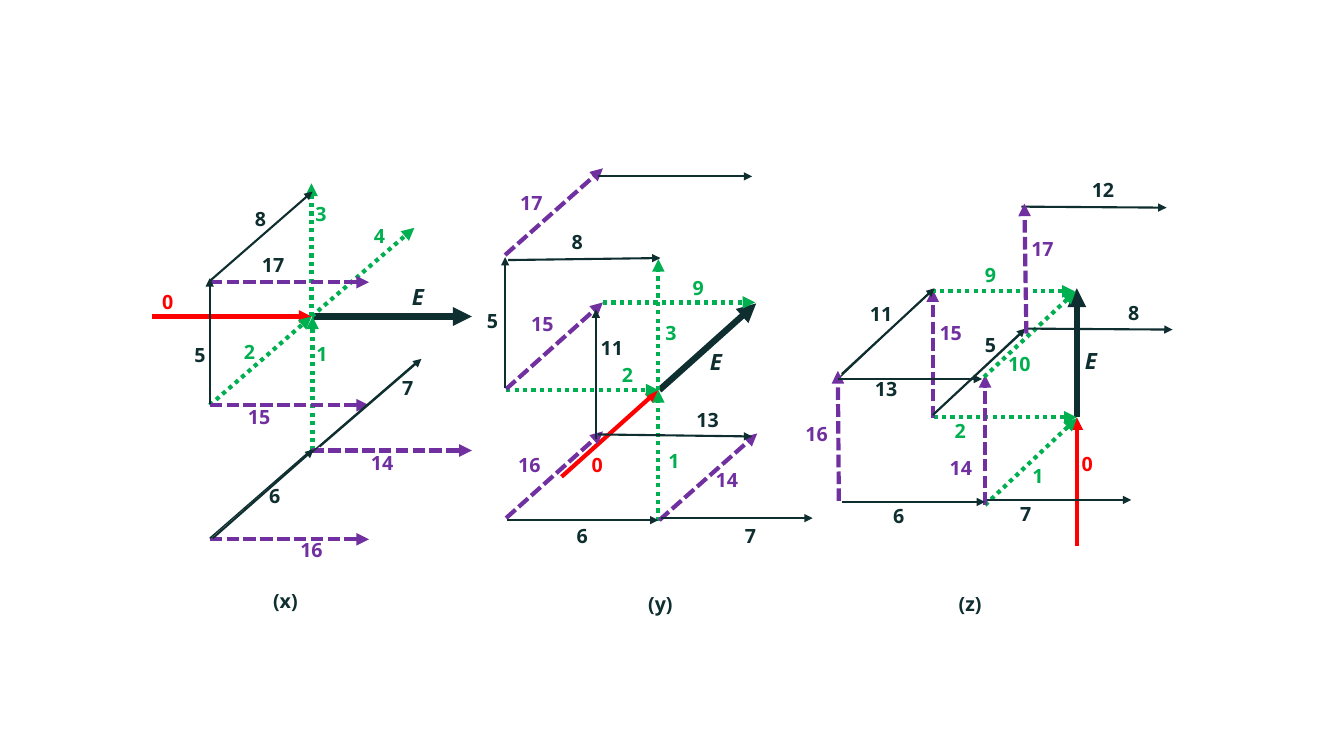
from dataclasses import dataclass

from lxml import etree
from pptx import Presentation
from pptx.dml.color import RGBColor
from pptx.enum.dml import MSO_LINE
from pptx.enum.shapes import MSO_CONNECTOR
from pptx.enum.text import MSO_AUTO_SIZE, PP_ALIGN
from pptx.oxml.ns import qn
from pptx.util import Emu, Pt

STRAIGHT = MSO_CONNECTOR.STRAIGHT
DOTTED = MSO_LINE.ROUND_DOT  # sysDot
DASHED = MSO_LINE.SQUARE_DOT  # sysDash
FIT_SHAPE = MSO_AUTO_SIZE.SHAPE_TO_FIT_TEXT
LEFT, CENTER = PP_ALIGN.LEFT, PP_ALIGN.CENTER

PX = 9144  # 100 px to the inch


@dataclass(frozen=True)
class Theme:
    ink: str = "0F2E30"
    red: str = "FF0000"
    green: str = "00B050"
    purple: str = "7030A0"
    font: str = "Open Sans"
    label_size: int = 14
    field_size: int = 16
    label_height: int = 33


THEME = Theme()
INK, RED, GREEN, PURPLE = THEME.ink, THEME.red, THEME.green, THEME.purple


@dataclass(frozen=True)
class Stroke:
    color: str
    width: float
    dash: MSO_LINE | None = None
    arrow: bool = True


FIELD = Stroke(INK, 4.5)
INCOMING = Stroke(RED, 3)
DOTS = Stroke(GREEN, 3, DOTTED)
DASHES = Stroke(PURPLE, 3, DASHED)
EDGE = Stroke(INK, 1.5)
HAIRLINE = Stroke(INK, 1, arrow=False)


@dataclass(frozen=True)
class Line:
    stroke: Stroke
    x1: int
    y1: int
    x2: int
    y2: int


@dataclass(frozen=True)
class Label:
    text: str
    x: int
    y: int
    width: int
    color: str = INK


@dataclass(frozen=True)
class Diagram:
    lines: list[Line]
    labels: list[Label]


# Field along z
DIAGRAM_Z = Diagram(
    [
        Line(FIELD, 1068, 414, 1068, 286), Line(INCOMING, 1068, 542, 1068, 414),
        Line(DOTS, 926, 414, 1068, 414), Line(DOTS, 977, 501, 1068, 415),
        Line(DASHES, 925, 415, 925, 287), Line(DASHES, 977, 501, 977, 372),
        Line(DOTS, 924, 289, 1066, 289), Line(DOTS, 976, 374, 1067, 289),
        Line(HAIRLINE, 831, 376, 922, 290), Line(HAIRLINE, 925, 412, 1017, 327),
        Line(DASHES, 832, 497, 831, 368), Line(EDGE, 1013, 205, 1157, 206),
        Line(EDGE, 835, 371, 927, 286), Line(EDGE, 1017, 326, 1163, 327),
        Line(EDGE, 926, 411, 1017, 326), Line(DASHES, 1018, 331, 1016, 202),
        Line(EDGE, 979, 496, 1122, 496), Line(EDGE, 835, 498, 977, 498),
        Line(EDGE, 831, 376, 974, 376),
    ],
    [
        Label("(z)", 941, 582, 71), Label("E", 1050, 339, 64),
        Label("0", 1063, 443, 26, RED), Label("1", 1014, 455, 26, GREEN),
        Label("2", 937, 411, 26, GREEN), Label("5", 967, 325, 43),
        Label("6", 876, 495, 26), Label("7", 1002, 493, 43),
        Label("8", 1109, 294, 26), Label("9", 967, 256, 43, GREEN),
        Label("10", 990, 344, 55, GREEN), Label("11", 853, 295, 54),
        Label("12", 1073, 172, 49), Label("13", 858, 369, 54),
        Label("14", 932, 447, 51, PURPLE), Label("15", 922, 313, 48, PURPLE),
        Label("16", 789, 414, 51, PURPLE), Label("17", 1013, 230, 59, PURPLE),
    ],
)

# Field along y
DIAGRAM_Y = Diagram(
    [
        Line(FIELD, 654, 387, 750, 301), Line(INCOMING, 557, 473, 653, 387),
        Line(DOTS, 653, 517, 653, 387), Line(DOTS, 653, 387, 653, 257),
        Line(DOTS, 502, 387, 653, 387), Line(DASHES, 502, 386, 598, 300),
        Line(DASHES, 654, 516, 751, 430), Line(DASHES, 502, 514, 598, 428),
        Line(DOTS, 598, 300, 749, 300), Line(DASHES, 501, 253, 598, 167),
        Line(EDGE, 593, 175, 746, 175), Line(EDGE, 593, 431, 746, 433),
        Line(EDGE, 504, 258, 655, 256), Line(EDGE, 591, 436, 591, 307),
        Line(EDGE, 656, 514, 806, 514), Line(EDGE, 503, 516, 653, 516),
        Line(EDGE, 501, 385, 501, 255),
    ],
    [
        Label("(y)", 633, 582, 75), Label("E", 676, 340, 68),
        Label("0", 577, 444, 28, RED), Label("1", 653, 440, 28, GREEN),
        Label("2", 607, 355, 28, GREEN), Label("3", 650, 313, 28, GREEN),
        Label("5", 473, 302, 28), Label("6", 562, 515, 28),
        Label("7", 729, 515, 45), Label("8", 557, 223, 45),
        Label("9", 677, 269, 28, GREEN), Label("11", 586, 328, 52),
        Label("13", 681, 400, 50), Label("14", 700, 459, 50, PURPLE),
        Label("15", 517, 305, 53, PURPLE), Label("16", 504, 444, 49, PURPLE),
        Label("17", 506, 184, 51, PURPLE),
    ],
)

# Field along x
DIAGRAM_X = Diagram(
    [
        Line(FIELD, 309, 314, 468, 314), Line(INCOMING, 151, 314, 309, 314),
        Line(DOTS, 309, 314, 411, 226), Line(DOTS, 208, 402, 309, 314),
        Line(DOTS, 309, 314, 309, 182), Line(DOTS, 310, 447, 310, 314),
        Line(DASHES, 208, 402, 366, 402), Line(DASHES, 309, 447, 468, 447),
        Line(DASHES, 208, 535, 366, 535), Line(HAIRLINE, 208, 534, 309, 446),
        Line(DASHES, 208, 280, 366, 280), Line(HAIRLINE, 309, 449, 411, 361),
        Line(EDGE, 209, 278, 310, 190), Line(EDGE, 211, 534, 311, 446),
        Line(EDGE, 317, 443, 418, 356), Line(EDGE, 208, 401, 208, 276),
    ],
    [
        Label("(x)", 261, 579, 71), Label("E", 379, 276, 71),
        Label("0", 151, 283, 29, RED), Label("1", 304, 334, 29, GREEN),
        Label("2", 232, 332, 29, GREEN), Label("3", 303, 195, 29, GREEN),
        Label("4", 361, 217, 29, GREEN), Label("5", 183, 335, 47),
        Label("6", 257, 475, 29), Label("7", 389, 368, 47),
        Label("8", 243, 200, 29), Label("14", 358, 442, 55, PURPLE),
        Label("15", 236, 397, 55, PURPLE), Label("16", 288, 529, 49, PURPLE),
        Label("17", 250, 246, 52),
    ],
)


def px(length: int) -> Emu:
    return Emu(length * PX)


def draw_line(shapes, line: Line) -> None:
    connector = shapes.add_connector(
        STRAIGHT, px(line.x1), px(line.y1), px(line.x2), px(line.y2))
    stroke = line.stroke
    connector.line.color.rgb = RGBColor.from_string(stroke.color)
    connector.line.width = Pt(stroke.width)
    if stroke.dash is not None:
        connector.line.dash_style = stroke.dash
    if stroke.arrow:
        outline = connector.line._get_or_add_ln()
        etree.SubElement(outline, qn("a:tailEnd"), type="triangle")
    etree.SubElement(connector._element.spPr, qn("a:effectLst"))


def draw_label(shapes, label: Label) -> None:
    is_field = label.text == "E"
    frame = shapes.add_textbox(
        px(label.x), px(label.y), px(label.width), px(THEME.label_height)).text_frame
    frame.word_wrap = True
    frame.auto_size = FIT_SHAPE
    frame.text = label.text
    caption = frame.paragraphs[0]
    caption.alignment = CENTER if is_field else LEFT
    font = caption.runs[0].font
    font.name = THEME.font
    font.size = Pt(THEME.field_size if is_field else THEME.label_size)
    font.bold = True
    font.italic = is_field
    font.color.rgb = RGBColor.from_string(label.color)


def draw_diagram(slide, diagram: Diagram) -> None:
    shapes = slide.shapes.add_group_shape().shapes
    for line in diagram.lines:
        draw_line(shapes, line)
    for label in diagram.labels:
        draw_label(shapes, label)


def main() -> None:
    deck = Presentation()
    deck.slide_width, deck.slide_height = px(1333), px(750)
    slide = deck.slides.add_slide(deck.slide_layouts[6])
    for diagram in (DIAGRAM_Z, DIAGRAM_Y, DIAGRAM_X):
        draw_diagram(slide, diagram)
    deck.save("out.pptx")


if __name__ == "__main__":
    main()
